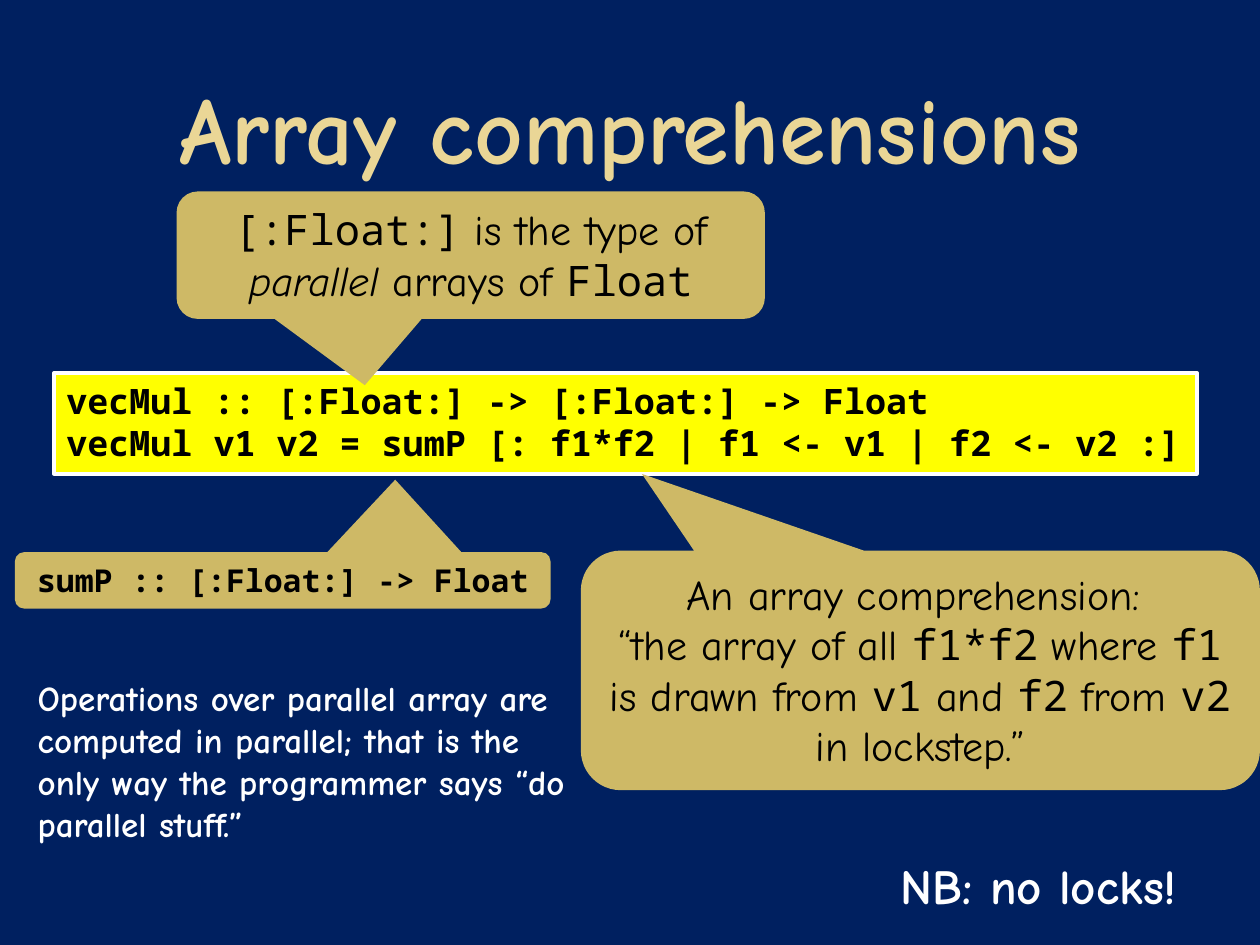
from pptx import Presentation
from pptx import util as u
from pptx.dml import color
from pptx.enum import shapes, text

SANS, MONO = "Comic Neue", "Noto Sans Mono"
GOLD, BLACK, WHITE = "CEB966", "000000", "FFFFFF"
CALLOUT = shapes.MSO_SHAPE.ROUNDED_RECTANGULAR_CALLOUT


def rgb(value):
    """Turn a hex string into a colour."""
    return color.RGBColor.from_string(value)


def box(values):
    """Turn left, top, width and height in centimetres into lengths."""
    return [u.Cm(v) for v in values]


def set_attrs(obj, values):
    """Set each attribute named in a dict."""
    for name, value in values.items():
        setattr(obj, name, value)


def add_run(p, words, fill, fmt):
    """Add one formatted run to a paragraph."""
    if words:
        r = p.add_run()
        r.text = words
        set_attrs(r.font, fmt)
        r.font.color.rgb = rgb(fill)


def write(sp, lines, size, fill, name=SANS, bold=False, align="LEFT", **frame):
    """Fill a shape with text; `code` is monospaced and _words_ are italic."""
    tf = sp.text_frame
    set_attrs(tf, {"word_wrap": True,
                   "auto_size": text.MSO_AUTO_SIZE.SHAPE_TO_FIT_TEXT,
                   "vertical_anchor": text.MSO_ANCHOR.TOP, **frame})
    for i, line in enumerate(lines):
        p = tf.add_paragraph() if i else tf.paragraphs[0]
        p.alignment = getattr(text.PP_ALIGN, align)
        for j, part in enumerate(line.split("`")):
            for k, words in enumerate(part.split("_")):
                add_run(p, words, fill, {
                    "name": MONO if j % 2 else name, "size": u.Pt(size),
                    "bold": bold, "italic": k % 2 == 1})


def add_label(s, at, lines, size, fill=WHITE, **fmt):
    """Add a bold text box."""
    write(s.shapes.add_textbox(*box(at)), lines, size, fill, bold=True, **fmt)


def add_panel(s, kind, at, fill, line=None):
    """Add a filled shape with an optional outline."""
    sp = s.shapes.add_shape(kind, *box(at))
    sp.shadow.inherit = False
    sp.fill.solid()
    sp.fill.fore_color.rgb = rgb(fill)
    if line:
        sp.line.color.rgb = rgb(line)
        sp.line.width = u.Pt(2.25)
    else:
        sp.line.fill.background()
    return sp


def add_callout(s, at, tip, lines, size=24, **fmt):
    """Add a gold callout whose tip is given relative to its centre."""
    sp = add_panel(s, CALLOUT, at, GOLD)
    sp.adjustments[0], sp.adjustments[1] = tip
    write(sp, lines, size, BLACK, align="CENTER", **fmt)


def main():
    """Build the slide and save it."""
    prs = Presentation()
    set_attrs(prs, {"slide_width": u.Cm(25.4), "slide_height": u.Cm(19.05)})
    s = prs.slides.add_slide(prs.slide_layouts[6])
    s.background.fill.solid()
    s.background.fill.fore_color.rgb = rgb("002060")

    add_label(s, (1.27, 0.51, 22.86, 3.18), ["Array comprehensions"], 54, "EAD696",
              align="CENTER", auto_size=text.MSO_AUTO_SIZE.NONE,
              vertical_anchor=text.MSO_ANCHOR.BOTTOM,
              margin_left=u.Cm(0.13), margin_right=u.Cm(0.13),
              margin_top=0, margin_bottom=0)

    code = add_panel(s, shapes.MSO_SHAPE.RECTANGLE, (1.09, 7.52, 23.04, 2.03),
                     "FFFF00", WHITE)
    write(code, ["vecMul :: [:Float:] -> [:Float:] -> Float",
                 "vecMul v1 v2 = sumP [: f1*f2 | f1 <- v1 | f2 <- v2 :]"],
          20, BLACK, MONO, bold=True, word_wrap=False)

    add_callout(s, (3.56, 3.86, 11.86, 2.57), (-0.18, 1.02),
                ["`[:Float:]` is the type of _parallel_ arrays of `Float`"])
    add_callout(s, (11.71, 11.1, 13.69, 4.83), (-0.41, -0.82),
                ["An array comprehension: ",
                 "“the array of all `f1*f2` where `f1` is drawn from `v1` "
                 "and `f2` from `v2` in lockstep.”"])
    add_callout(s, (0.3, 11.13, 10.8, 1.14), (0.21, -1.78),
                ["sumP :: [:Float:] -> Float"], 18, name=MONO, bold=True)

    add_label(s, (0.51, 13.51, 11.4, 3.63),
              ["Operations over parallel array are computed in parallel; that is "
               "the only way the programmer says “do parallel stuff.”"], 20)
    add_label(s, (17.91, 17.12, 6.2, 1.45), ["NB: no locks!"], 28, word_wrap=False)
    prs.save("out.pptx")


if __name__ == "__main__":
    main()
